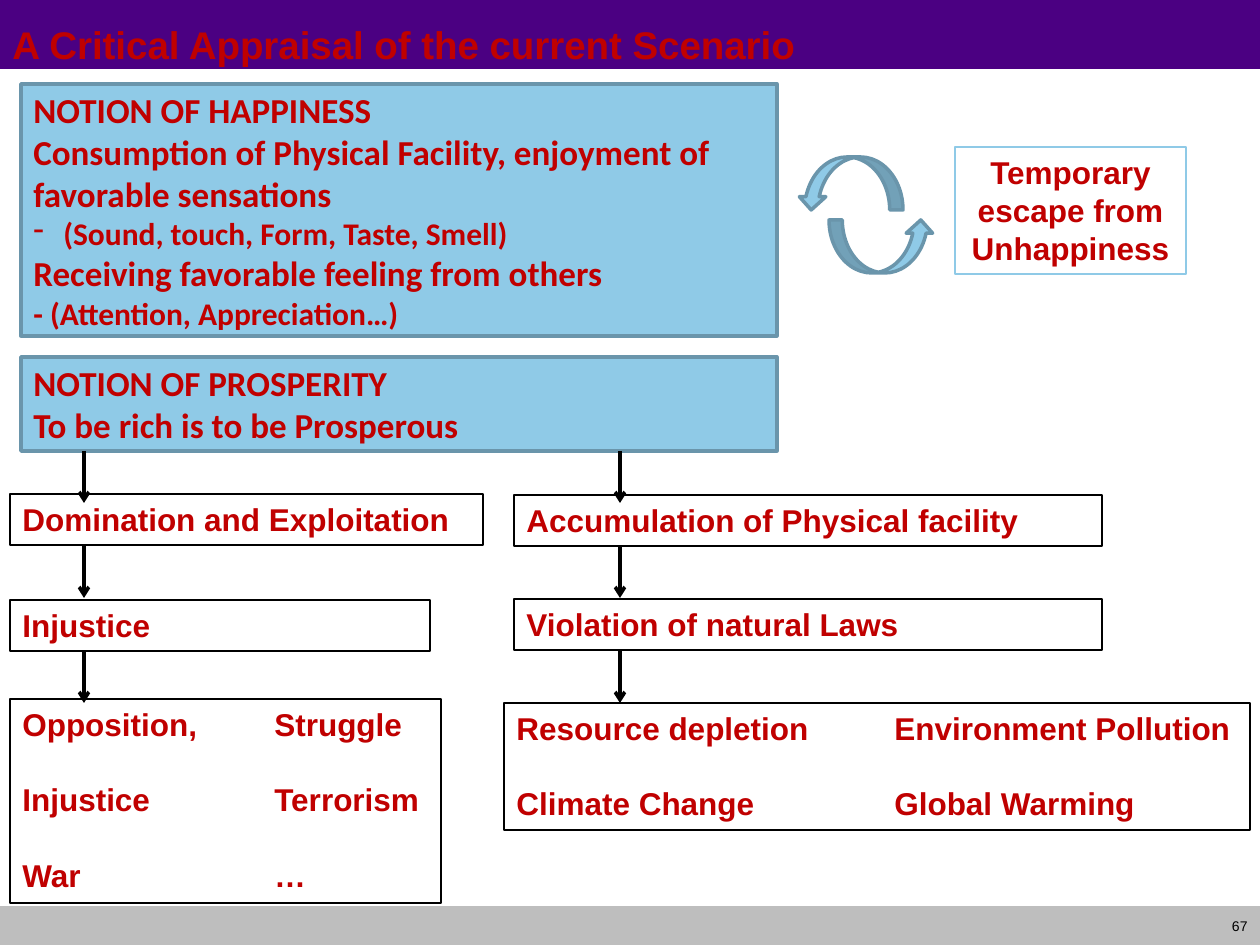
"""Build the slide that appraises current notions of happiness and prosperity."""
import lxml.etree
import pptx
import pptx.dml.color
import pptx.enum.shapes
import pptx.enum.text
import pptx.oxml.ns
import pptx.util

COLORS = {"violet": "4B0082", "gray": "BEBEBE", "sky": "8FCAE7",
          "steel": "6A95AB", "red": "C00000", "black": "000000"}
SHAPE = pptx.enum.shapes.MSO_SHAPE
ALIGN = pptx.enum.text.PP_ALIGN
ANCHOR = pptx.enum.text.MSO_ANCHOR
FIT = pptx.enum.text.MSO_AUTO_SIZE
qn = pptx.oxml.ns.qn


def px(length):
    return pptx.util.Emu(round(length * 914400 / 126))


def add_box(text, left, top, width, height, kind=SHAPE.RECTANGLE, fill=None, line=None,
            weight=0.75, font="Arial", size=18, sizes=None, color="red", bold=True,
            align=ALIGN.LEFT, anchor=ANCHOR.TOP, grow=False, gap=0, tab=0, inset=6):
    box = slide.shapes.add_shape(kind, px(left), px(top), px(width), px(height))
    box.shadow.inherit = False
    if fill:
        box.fill.solid()
        box.fill.fore_color.rgb = pptx.dml.color.RGBColor.from_string(COLORS[fill])
    else:
        box.fill.background()
    if line:
        box.line.color.rgb = pptx.dml.color.RGBColor.from_string(COLORS[line])
        box.line.width = pptx.util.Pt(weight)
    else:
        box.line.fill.background()
    if not text:
        return box
    frame = box.text_frame
    frame.word_wrap = True
    frame.vertical_anchor = anchor
    frame.margin_top = px(inset)
    frame.auto_size = FIT.SHAPE_TO_FIT_TEXT if grow else FIT.NONE
    for index, wording in enumerate(text.split("\n")):
        paragraph = frame.paragraphs[0] if index == 0 else frame.add_paragraph()
        paragraph.alignment = align
        if index and gap:
            paragraph.space_before = pptx.util.Pt(gap)
        if tab:
            stops = lxml.etree.SubElement(paragraph._p.get_or_add_pPr(), qn("a:tabLst"))
            lxml.etree.SubElement(stops, qn("a:tab"), pos=str(px(tab)), algn="l")
        run = paragraph.add_run()
        run.text = wording
        run.font.name = font
        run.font.size = pptx.util.Pt(sizes[index] if sizes else size)
        run.font.bold = bold
        run.font.color.rgb = pptx.dml.color.RGBColor.from_string(COLORS[color])
    return box


deck = pptx.Presentation()
deck.slide_width, deck.slide_height = px(1260), px(945)
slide = deck.slides.add_slide(deck.slide_layouts[6])

add_box("", 0, 0, 1260, 69, fill="violet")
add_box("", 0, 906, 1260, 42, fill="gray")
add_box("67", 1201, 906, 59, 40, size=8, color="black", bold=False,
        align=ALIGN.RIGHT, anchor=ANCHOR.MIDDLE)
add_box("A Critical Appraisal of the current Scenario", 0, 10, 1260, 53, size=22, inset=11)

notion = {"fill": "sky", "line": "steel", "weight": 2}
happiness = add_box(
    "NOTION OF HAPPINESS\n"
    "Consumption of Physical Facility, enjoyment of favorable sensations\n"
    "(Sound, touch, Form, Taste, Smell)\n"
    "Receiving favorable feeling from others\n"
    "- (Attention, Appreciation…)",
    21, 84, 756, 252, font="Calibri", sizes=[20, 20, 18, 20, 18],
    anchor=ANCHOR.MIDDLE, **notion)
senses = happiness.text_frame.paragraphs[2]._p.get_or_add_pPr()
senses.set("marL", str(px(30)))
senses.set("indent", str(px(-30)))
lxml.etree.SubElement(senses, qn("a:buFontTx"))
lxml.etree.SubElement(senses, qn("a:buChar"), char="-")

add_box("Temporary escape from Unhappiness", 955, 147, 231, 127, line="sky",
        align=ALIGN.CENTER, grow=True)
cycle_back = add_box("", 824, 131, 53, 105, kind=SHAPE.CURVED_RIGHT_ARROW, **notion)
cycle_back.rotation = 90
add_box("", 829, 220, 105, 53, kind=SHAPE.CURVED_UP_ARROW, **notion)
add_box("NOTION OF PROSPERITY\nTo be rich is to be Prosperous", 21, 357, 756, 94,
        font="Calibri", size=20, anchor=ANCHOR.MIDDLE, **notion)

consequences = [
    ("Domination and Exploitation", 10, 494, 473, 51, 0),
    ("Accumulation of Physical facility", 514, 495, 588, 51, 0),
    ("Injustice", 10, 600, 420, 51, 0),
    ("Violation of natural Laws", 514, 599, 588, 51, 0),
    ("Opposition,\tStruggle\nInjustice\tTerrorism\nWar\t…", 10, 699, 431, 204, 252),
    ("Resource depletion\tEnvironment Pollution\nClimate Change\tGlobal Warming",
     504, 703, 746, 127, 378),
]
for wording, left, top, width, height, tab in consequences:
    add_box(wording, left, top, width, height, line="black", grow=True, gap=21.5, tab=tab)

for x in (84, 620):
    for start in (451, 546, 651):
        arrow = slide.shapes.add_connector(pptx.enum.shapes.MSO_CONNECTOR.STRAIGHT,
                                           px(x), px(start), px(x), px(start + 52))
        arrow.line.color.rgb = pptx.dml.color.RGBColor.from_string(COLORS["black"])
        arrow.line.width = pptx.util.Pt(2)
        lxml.etree.SubElement(arrow.line._get_or_add_ln(), qn("a:tailEnd"), type="arrow")
        lxml.etree.SubElement(arrow._element.spPr, qn("a:effectLst"))

deck.save("out.pptx")
